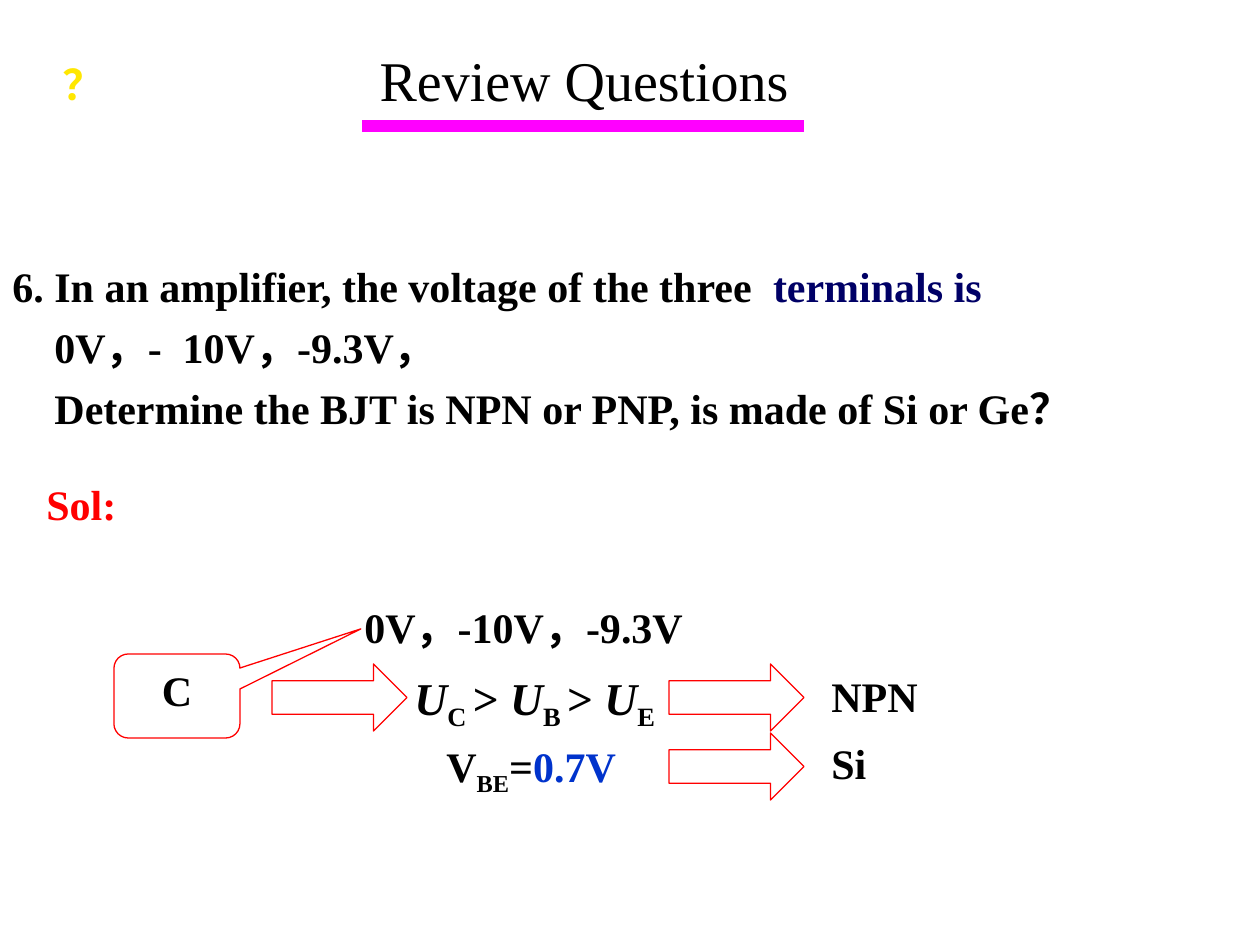
from lxml.etree import SubElement
from pptx import Presentation
from pptx.dml.color import RGBColor
from pptx.enum.shapes import MSO_CONNECTOR, MSO_SHAPE
from pptx.enum.text import MSO_ANCHOR, PP_ALIGN
from pptx.oxml.ns import qn
from pptx.util import Emu, Pt

SCALE = 914400 / 126
COLORS = {
    "black": "000000", "navy": "000066", "blue": "0033CC", "red": "FF0000",
    "magenta": "FF00FF", "yellow": "FFE701", "orange": "FE3E02",
}
SERIF = "Times New Roman"
CJK = "Noto Sans CJK SC"


def px(*lengths):
    return [Emu(round(length * SCALE)) for length in lengths]


def add_span(para, text, color="black", size=24, bold=True, italic=False, sub=False, face=SERIF):
    span = para.add_run()
    span.text = text
    span.font.name = face
    span.font.size = Pt(size)
    span.font.bold = bold
    span.font.italic = italic
    span.font.color.rgb = RGBColor.from_string(COLORS[color])
    properties = span.font._element
    SubElement(properties, qn("a:ea")).set("typeface", CJK)
    if sub:
        properties.set("baseline", "-25000")
    return span


deck = Presentation()
deck.slide_width, deck.slide_height = px(1260, 945)
page = deck.slides.add_slide(deck.slide_layouts[5])

title = page.shapes.title
title.left, title.top, title.width, title.height = px(367, 43, 608, 73)
title.text_frame.vertical_anchor = MSO_ANCHOR.MIDDLE
heading = title.text_frame.paragraphs[0]
heading.alignment = PP_ALIGN.LEFT
add_span(heading, "Review Questions", size=32, bold=False)

underline = page.shapes.add_connector(MSO_CONNECTOR.STRAIGHT, *px(368, 126, 798, 126))
underline.line.color.rgb = RGBColor.from_string(COLORS["magenta"])
underline.line.width = Pt(7)
underline.line._get_or_add_ln().set("cap", "sq")
SubElement(underline._element.spPr, qn("a:effectLst"))

question_mark = page.shapes.add_textbox(*px(50, 52, 84, 126))
question_mark.rotation = 0.2
mark = add_span(question_mark.text_frame.paragraphs[0], "？", "yellow", face=CJK)
mark.font.fill.gradient()
mark.font.fill.gradient_angle = 271
for stop, name in zip(mark.font.fill.gradient_stops, ("yellow", "orange")):
    stop.color.rgb = RGBColor.from_string(COLORS[name])

question = page.shapes.add_textbox(*px(0, 254, 1216, 185))
question.text_frame.word_wrap = True
question_lines = [
    [("6. In an amplifier, the voltage of the three  ", "black"), ("terminals is", "navy")],
    [("0V，-  10V，-9.3V，", "black")],
    [("Determine the BJT is NPN or PNP, is made of Si or Ge？", "black")],
]
for index, line in enumerate(question_lines):
    para = question.text_frame.paragraphs[0]
    if index:
        para = question.text_frame.add_paragraph()
        para.space_before = Pt(6)
        para._p.get_or_add_pPr().set("marL", str(px(42)[0]))
    for text, color in line:
        add_span(para, text, color)

labels = [
    ("Sol:", "red", 34, 472, 131),
    ("0V，-10V，-9.3V", "black", 352, 595, 704),
    ("NPN", "black", 819, 664, 129),
    ("Si", "black", 819, 731, 129),
]
for text, color, left, top, width in labels:
    box = page.shapes.add_textbox(*px(left, top, width, 63))
    box.text_frame.word_wrap = True
    add_span(box.text_frame.paragraphs[0], text, color)

inequality = page.shapes.add_textbox(*px(402, 664, 282, 76))
inequality.text_frame.word_wrap = True
para = inequality.text_frame.paragraphs[0]
for terminal, sign in (("C ", "> "), ("B ", "> "), ("E", "")):
    add_span(para, "U", size=26, italic=True)
    add_span(para, terminal, size=26, sub=True)
    if sign:
        add_span(para, sign, size=26)

voltage = page.shapes.add_textbox(*px(434, 734, 196, 71))
para = voltage.text_frame.paragraphs[0]
add_span(para, "V")
add_span(para, "BE", sub=True)
add_span(para, "=")
add_span(para, "0.7V", "blue")

outlines = [
    (MSO_SHAPE.ROUNDED_RECTANGULAR_CALLOUT, (114, 654, 126, 84), (1.46, -0.8, 0.17)),
    (MSO_SHAPE.RIGHT_ARROW, (272, 664, 135, 67), (0.5, 0.5)),
    (MSO_SHAPE.RIGHT_ARROW, (669, 664, 135, 67), (0.5, 0.5)),
    (MSO_SHAPE.RIGHT_ARROW, (669, 733, 135, 67), (0.5, 0.5)),
]
for kind, place, adjustments in outlines:
    shape = page.shapes.add_shape(kind, *px(*place))
    shape.shadow.inherit = False
    shape.fill.background()
    shape.line.color.rgb = RGBColor.from_string(COLORS["red"])
    shape.line.width = Pt(0.75)
    for index, value in enumerate(adjustments):
        shape.adjustments[index] = value
    if kind == MSO_SHAPE.ROUNDED_RECTANGULAR_CALLOUT:
        shape.text_frame.vertical_anchor = MSO_ANCHOR.TOP
        para = shape.text_frame.paragraphs[0]
        para.alignment = PP_ALIGN.CENTER
        add_span(para, "C")

deck.save("out.pptx")
